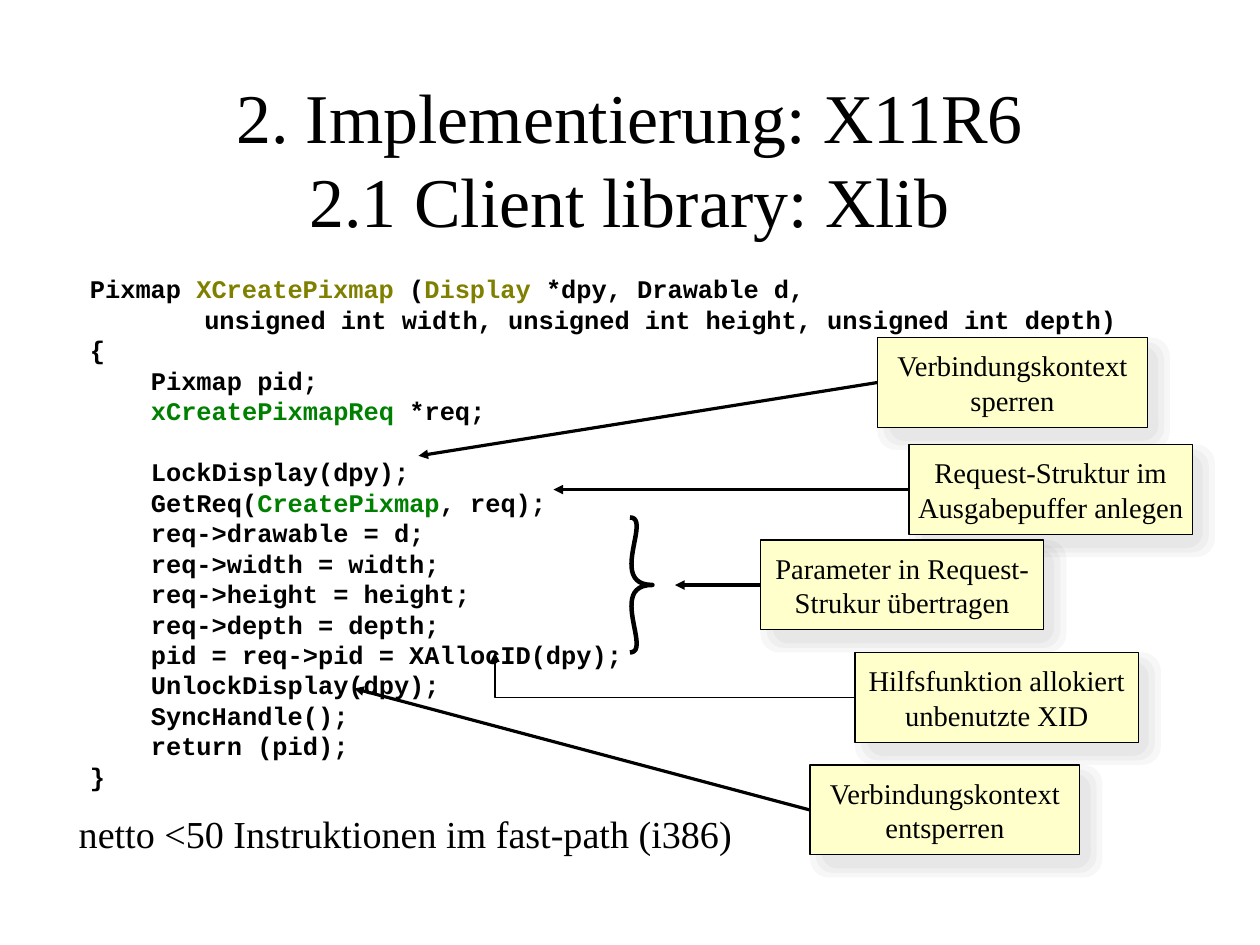
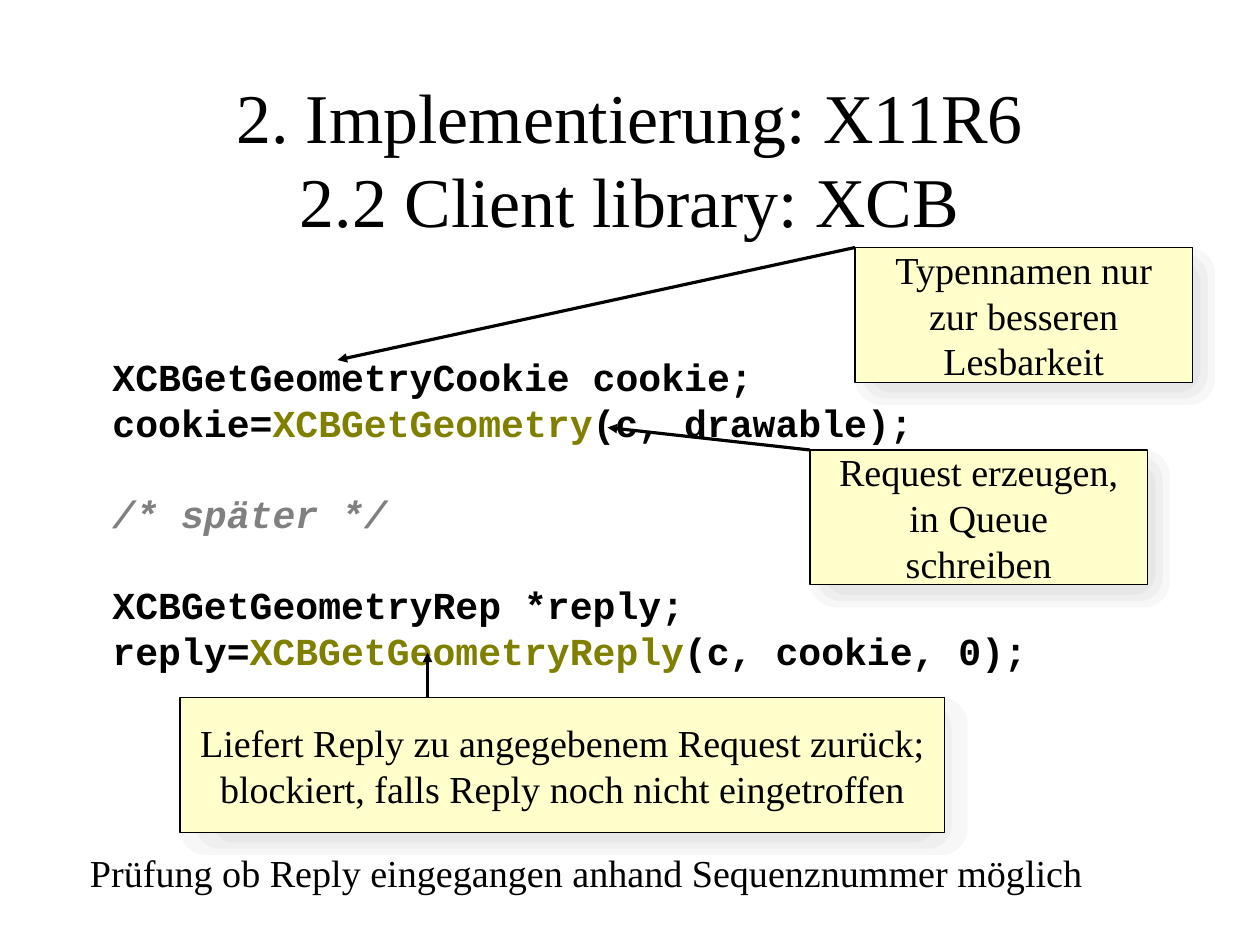
import pptx
import pptx.util
import pptx.dml.color
import pptx.enum.shapes
import pptx.enum.text
import pptx.oxml
import pptx.oxml.ns

Cm, Pt = pptx.util.Cm, pptx.util.Pt
RGB = pptx.dml.color.RGBColor.from_string
SHAPE = pptx.enum.shapes.MSO_SHAPE
ANCHOR = pptx.enum.text.MSO_ANCHOR
ALIGN = pptx.enum.text.PP_ALIGN

COLORS = {"ink": "000000", "call": "808000", "request": "008000",
          "comment": "808080", "note": "FFFFCC"}
SERIF, MONO = "Times New Roman", "Courier New"
LEADING = 1.2   # line pitch as a multiple of the font size
CHAR = 0.6      # width of a monospaced character per font size
NS = 'xmlns:a="http://schemas.openxmlformats.org/drawingml/2006/main"'

# Code lines: indent in characters, blank lines before, runs of (text, colour)
XLIB_CODE = [
    (0, 0, [("Pixmap ", "ink"), ("XCreatePixmap", "call"), (" (", "ink"),
            ("Display", "call"), (" *dpy, Drawable d,", "ink")]),
    (7.5, 0, [("unsigned int width, unsigned int height, unsigned int depth)", "ink")]),
    (0, 0, [("{", "ink")]),
    (4, 0, [("Pixmap pid;", "ink")]),
    (4, 0, [("xCreatePixmapReq", "request"), (" *req;", "ink")]),
    (4, 1, [("LockDisplay(dpy);", "ink")]),
    (4, 0, [("GetReq(", "ink"), ("CreatePixmap", "request"), (", req);", "ink")]),
    (4, 0, [("req->drawable = d;", "ink")]),
    (4, 0, [("req->width = width;", "ink")]),
    (4, 0, [("req->height = height;", "ink")]),
    (4, 0, [("req->depth = depth;", "ink")]),
    (4, 0, [("pid = req->pid = XAllocID(dpy);", "ink")]),
    (4, 0, [("UnlockDisplay(dpy);", "ink")]),
    (4, 0, [("SyncHandle();", "ink")]),
    (4, 0, [("return (pid);", "ink")]),
    (0, 0, [("}", "ink")]),
]
XCB_CODE = [
    (0, 0, [("XCBGetGeometryCookie cookie;", "ink")]),
    (0, 0, [("cookie=", "ink"), ("XCBGetGeometry", "call"), ("(c, drawable);", "ink")]),
    (0, 1, [("/* später */", "comment")]),
    (0, 1, [("XCBGetGeometryRep *reply;", "ink")]),
    (0, 0, [("reply=", "ink"), ("XCBGetGeometryReply", "call"), ("(c, cookie, 0);", "ink")]),
]

# Notes: text, box (left, top, width, height), pointer from the box to its target;
# a pointer without a start leaves from the middle of the left side.
SLIDES = [
    {"title": "2. Implementierung: X11R6\n2.1 Client library: Xlib",
     "code": XLIB_CODE, "code_size": 16, "code_box": (2, 6.08, 23.5, 12.8),
     "note_size": 18,
     "notes": [
         ("Verbindungskontext\nsperren", (19.5, 7.5, 6, 2), [(9.3, 10.13)]),
         ("Request-Struktur im\nAusgabepuffer anlegen", (20.2, 9.88, 6.3, 2), [(12.3, 10.88)]),
         ("Parameter in Request-\nStrukur übertragen", (16.9, 12, 6.3, 2), [(15, 13)]),
         ("Hilfsfunktion allokiert\nunbenutzte XID", (19, 14.5, 6.3, 2),
          [(19, 15.5), (11, 15.5), (11, 14.5)]),
         ("Verbindungskontext\nentsperren", (18, 17, 6, 2), [(7.87, 15.3)]),
     ],
     "brace": (14, 11.5, 0.5, 3),
     "remark": "netto <50 Instruktionen im fast-path (i386)",
     "remark_box": (1.75, 18, 15.25, 0.95)},
    {"title": "2. Implementierung: X11R6\n2.2 Client library: XCB",
     "code": XCB_CODE, "code_size": 24, "code_box": (2.5, 7.85, 22.5, 9),
     "note_size": 24,
     "notes": [
         ("Request erzeugen,\nin Queue\nschreiben", (18, 10, 7.5, 3), [(18, 10), (13.5, 9.5)]),
         ("Liefert Reply zu angegebenem Request zurück;\n"
          "blockiert, falls Reply noch nicht eingetroffen",
          (4, 15.5, 17, 3), [(9.5, 15.5), (9.5, 14.5)]),
         ("Typennamen nur\nzur besseren\nLesbarkeit", (19, 5.5, 7.5, 3), [(19, 5.5), (7.5, 8)]),
     ],
     "brace": None,
     "remark": "Prüfung ob Reply eingegangen anhand Sequenznummer möglich",
     "remark_box": (2, 18.88, 23.5, 1.1)},
]


def set_text(sp, text, size, align=ALIGN.CENTER, anchor=ANCHOR.MIDDLE, leading=True):
    """Fill a shape with one serif paragraph without margins."""
    tf = sp.text_frame
    tf.word_wrap = True
    tf.margin_left = tf.margin_right = tf.margin_top = tf.margin_bottom = 0
    tf.vertical_anchor = anchor
    p = tf.paragraphs[0]
    p.text = text
    p.alignment = align
    if leading:
        p.line_spacing = Pt(size * LEADING)
    p.font.name, p.font.size = SERIF, Pt(size)
    p.font.color.rgb = RGB(COLORS["ink"])


def style_line(sp, width=0, arrow=True):
    """Draw an outline in ink, without shadow, optionally ending in an arrowhead."""
    sp.line.color.rgb = RGB(COLORS["ink"])
    sp.line.width = Pt(width)
    if arrow:
        sp.line._get_or_add_ln().append(
            pptx.oxml.parse_xml(f'<a:tailEnd {NS} type="triangle"/>'))
    if hasattr(sp, "shadow"):
        sp.shadow.inherit = False
    else:
        sp._element.spPr.append(pptx.oxml.parse_xml(f"<a:effectLst {NS}/>"))


prs = pptx.Presentation()
prs.slide_width, prs.slide_height = Cm(28), Cm(21)

for content in SLIDES:
    s = prs.slides.add_slide(prs.slide_layouts[6])
    title = s.shapes.add_textbox(Cm(2.05), Cm(1.75), Cm(23.9), Cm(3.5))
    set_text(title, content["title"], 44)

    # Code listing
    size = content["code_size"]
    code = s.shapes.add_textbox(*map(Cm, content["code_box"]))
    tf = code.text_frame
    tf.word_wrap = True
    tf.margin_left = tf.margin_right = tf.margin_top = tf.margin_bottom = 0
    for i, (indent, blank_lines, runs) in enumerate(content["code"]):
        p = tf.add_paragraph() if i else tf.paragraphs[0]
        p._p.get_or_add_pPr().set("marL", str(Pt(indent * CHAR * size)))
        p.line_spacing = Pt(size * LEADING)
        p.space_before = Pt(blank_lines * size * LEADING)
        p.font.name, p.font.size, p.font.bold = MONO, Pt(size), True
        for text, color in runs:
            r = p.add_run()
            r.text = text
            r.font.color.rgb = RGB(COLORS[color])
            if color == "comment":
                r.font.italic = True

    # Notes with pointer and soft shadow
    for text, (left, top, width, height), pointer in content["notes"]:
        glued = len(pointer) == 1
        points = [(left, top + height / 2)] + pointer if glued else pointer
        points = [(Cm(x), Cm(y)) for x, y in points]
        if len(points) == 2:
            line = s.shapes.add_connector(
                pptx.enum.shapes.MSO_CONNECTOR.STRAIGHT, *points[0], *points[1])
        else:
            path_builder = s.shapes.build_freeform(*points[0])
            path_builder.add_line_segments(points[1:], close=False)
            line = path_builder.convert_to_shape()
            line.fill.background()
        style_line(line)

        outer_w, outer_h = width + 0.5, height + 0.5
        for layer in range(3):
            dx, dy = 0.02 * layer * outer_w, 0.04 * layer * outer_h
            shade = s.shapes.add_shape(
                SHAPE.ROUNDED_RECTANGLE, Cm(left + dx), Cm(top + dy),
                Cm(outer_w - 2 * dx), Cm(outer_h - 2 * dy))
            shade.shadow.inherit = False
            shade.line.fill.background()
            shade.fill.solid()
            shade.fill.fore_color.rgb = RGB(COLORS["ink"])
            color = shade._element.spPr.find(".//" + pptx.oxml.ns.qn("a:srgbClr"))
            color.append(pptx.oxml.parse_xml(f'<a:alpha {NS} val="3000"/>'))

        note = s.shapes.add_shape(SHAPE.RECTANGLE, Cm(left), Cm(top), Cm(width), Cm(height))
        note.fill.solid()
        note.fill.fore_color.rgb = RGB(COLORS["note"])
        style_line(note, arrow=False)
        set_text(note, text, content["note_size"])
        if glued:
            line.begin_connect(note, 1)

    # Curly brace: two cubic curves meeting at the tip
    if content["brace"]:
        x, y, w, h = content["brace"]
        mid, end = y + h / 2, y + h
        curves = [[(x, y), (x + w, y), (x - w, mid), (x + w, mid)],
                  [(x + w, mid), (x - w, mid), (x + w, end), (x, end)]]
        steps = 24
        points = []
        for curve in curves:
            for n in range(1, steps + 1):
                t = n / steps
                weights = ((1 - t) ** 3, 3 * t * (1 - t) ** 2, 3 * t * t * (1 - t), t ** 3)
                points.append(tuple(
                    Cm(sum(k * pt[axis] for k, pt in zip(weights, curve))) for axis in (0, 1)))
        path_builder = s.shapes.build_freeform(Cm(x), Cm(y))
        path_builder.add_line_segments(points, close=False)
        brace = path_builder.convert_to_shape()
        brace.fill.background()
        style_line(brace, 2.83, arrow=False)

    remark = s.shapes.add_textbox(*map(Cm, content["remark_box"]))
    set_text(remark, content["remark"], 24, ALIGN.LEFT, ANCHOR.TOP, leading=False)

prs.save("out.pptx")
